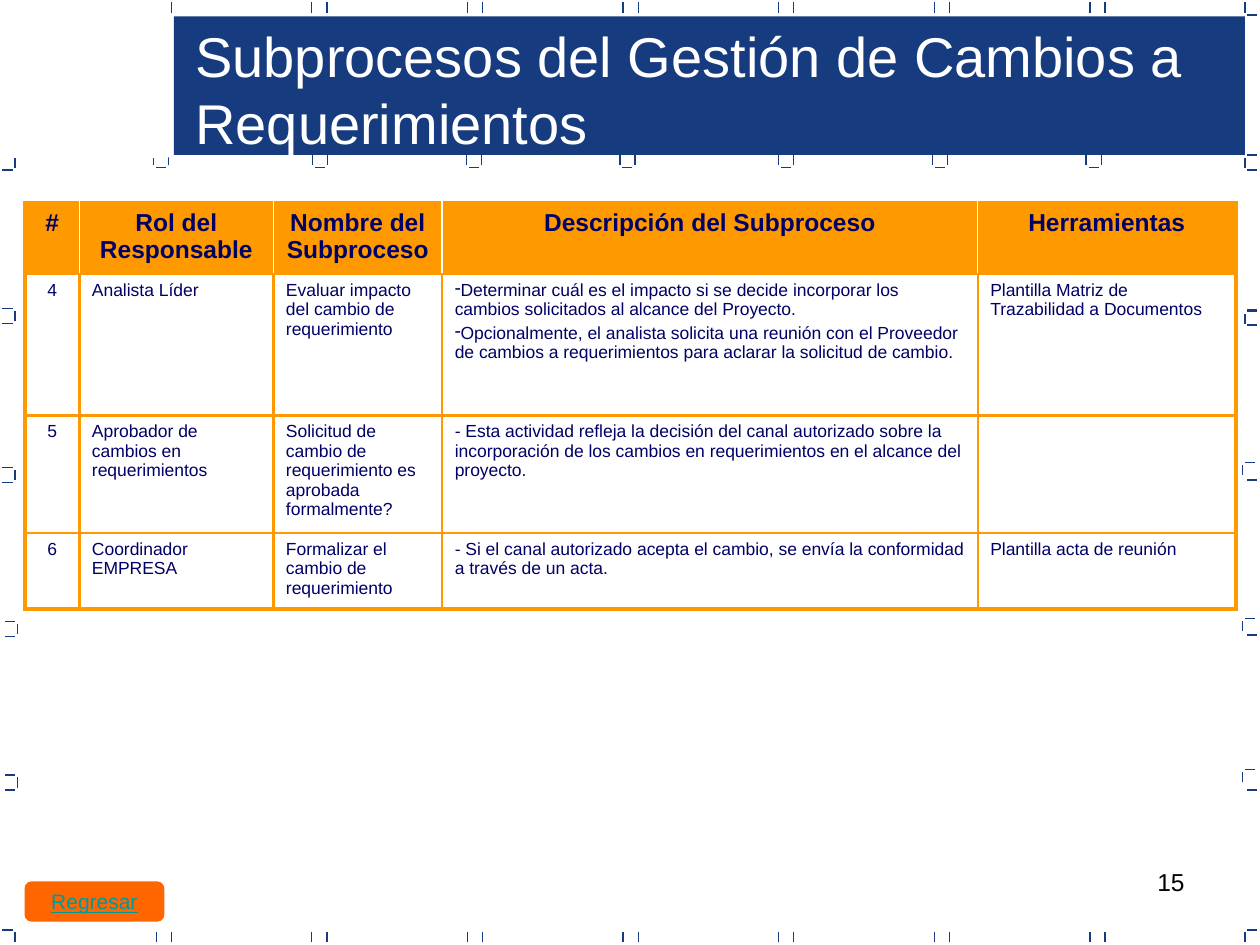
from lxml import etree
from pptx import Presentation
from pptx.dml.color import RGBColor
from pptx.enum.shapes import MSO_CONNECTOR, MSO_SHAPE
from pptx.enum.text import MSO_ANCHOR, MSO_AUTO_SIZE, PP_ALIGN
from pptx.oxml.ns import qn
from pptx.util import Inches, Pt

STRAIGHT = MSO_CONNECTOR.STRAIGHT
RECTANGLE = MSO_SHAPE.RECTANGLE
BUTTON = MSO_SHAPE.FLOWCHART_ALTERNATE_PROCESS
TOP, MIDDLE = MSO_ANCHOR.TOP, MSO_ANCHOR.MIDDLE
LEFT, CENTER, RIGHT = PP_ALIGN.LEFT, PP_ALIGN.CENTER, PP_ALIGN.RIGHT
NO_AUTOFIT = MSO_AUTO_SIZE.NONE

FONT = "Arial"
BLUE = RGBColor(0x16, 0x3B, 0x7F)
NAVY = RGBColor(0x00, 0x00, 0x66)
AMBER = RGBColor(0xFF, 0x99, 0x00)
ORANGE = RGBColor(0xFF, 0x66, 0x00)
TEAL = RGBColor(0x00, 0x99, 0x99)
WHITE = RGBColor(0xFF, 0xFF, 0xFF)
BLACK = RGBColor(0x00, 0x00, 0x00)

TICK = 0.08   # length of a frame tick
GAP = 0.02    # space between a tick and the corner it points to
PAIR = 0.12   # distance between the two ticks of a pair

COLUMN_WIDTHS = [0.43, 1.54, 1.34, 4.25, 2.05]
ROW_HEIGHTS = [0.47, 1.12, 0.59, 0.58]
HEADERS = ["#", "Rol del Responsable", "Nombre del Subproceso",
           "Descripción del Subproceso", "Herramientas"]
# A list marks a cell with dash bullets
ROWS = [
    ["4", "Analista Líder", "Evaluar impacto del cambio de requerimiento",
     ["Determinar cuál es el impacto si se decide incorporar los cambios "
      "solicitados al alcance del Proyecto.",
      "Opcionalmente, el analista solicita una reunión con el Proveedor de "
      "cambios a requerimientos para aclarar la solicitud de cambio."],
     "Plantilla Matriz de Trazabilidad a Documentos"],
    ["5", "Aprobador de cambios en requerimientos",
     "Solicitud de cambio de requerimiento es aprobada formalmente?",
     "- Esta actividad refleja la decisión del canal autorizado sobre la "
     "incorporación de los cambios en requerimientos en el alcance del proyecto.",
     ""],
    ["6", "Coordinador EMPRESA", "Formalizar el cambio de requerimiento",
     "- Si el canal autorizado acepta el cambio, se envía la conformidad a "
     "través de un acta.",
     "Plantilla acta de reunión"],
]


def add_run(paragraph, text, size, color, bold=False, underline=False):
    run = paragraph.add_run()
    run.text = text
    font = run.font
    font.name, font.size, font.color.rgb = FONT, Pt(size), color
    font.bold, font.underline = bold, underline


def add_block(slide, kind, box, fill, line=None, weight=0.75):
    shape = slide.shapes.add_shape(kind, *map(Inches, box))
    shape.shadow.inherit = False
    shape.fill.solid()
    shape.fill.fore_color.rgb = fill
    if line is None:
        shape.line.fill.background()
    else:
        shape.line.color.rgb = line
        shape.line.width = Pt(weight)
    return shape


def add_line(slide, x1, y1, x2, y2):
    line = slide.shapes.add_connector(STRAIGHT, *map(Inches, (x1, y1, x2, y2)))
    line.line.color.rgb = BLUE
    line.line.width = Pt(0.75)
    etree.SubElement(line.element.spPr, qn("a:effectLst"))


def add_upright(slide, x, y):
    add_line(slide, x, y + TICK, x, y)


def add_flat(slide, x, y):
    add_line(slide, x, y, x + TICK, y)


def add_frame(slide, box):
    left, top, width, height = box
    right, bottom = left + width, top + height
    top_y, bottom_y = top + GAP, bottom - GAP - TICK
    inner, outer = left + PAIR, right - PAIR

    # Top and bottom pairs
    for index in range(7):
        x = left + 1.36 + 1.235 * index
        add_upright(slide, x, top_y)
        if index:
            add_upright(slide, x - PAIR, top_y)
        add_upright(slide, x, bottom_y)
        add_upright(slide, x - PAIR, bottom_y)
    for x, y in [(outer, top_y), (outer, bottom_y), (inner, bottom_y)]:
        add_upright(slide, x, y)

    # Left brackets, open to the edge
    for x, y in [(0.12, 1.25), (0.12, 2.47), (0.12, 3.73), (0.14, 4.95), (0.14, 6.17)]:
        add_upright(slide, left + x, top + y)
        for flat_y in (y - GAP, y - GAP + PAIR):
            add_flat(slide, left + x - GAP - TICK, top + flat_y)
    add_flat(slide, left + GAP, bottom - PAIR)

    # Right corners and their closing ticks
    for x, y in [(9.88, 1.25), (9.88, 2.49), (9.86, 3.69), (9.86, 4.93), (9.86, 6.13)]:
        add_upright(slide, left + x, top + y)
        add_flat(slide, left + x + GAP, top + y - GAP)
    for y in (0.12, 1.35, 2.46, 2.58, 3.81, 5.04, 6.27, 7.38):
        add_flat(slide, outer + GAP, top + y)


def add_banner(slide, box):
    left, top, width, height = box
    add_block(slide, RECTANGLE, box, BLUE)

    # Brackets hanging below the banner
    base = top + height
    for x in (1.22, 2.48, 3.70, 4.92, 6.18, 7.40, 8.62):
        add_upright(slide, x, base)
        add_upright(slide, x + PAIR, base)
        add_flat(slide, x + GAP, base + TICK + GAP)

    # White corner beside the banner
    add_block(slide, RECTANGLE, (0, -0.01, 1.33, 1.25), WHITE, WHITE, 2)


def add_title(slide, box):
    title = slide.shapes.title
    title.left, title.top, title.width, title.height = map(Inches, box)
    frame = title.text_frame
    frame.word_wrap, frame.auto_size = True, NO_AUTOFIT
    frame.vertical_anchor = TOP
    paragraph = frame.paragraphs[0]
    paragraph.alignment = LEFT
    add_run(paragraph, "Subprocesos del Gestión de Cambios a Requerimientos", 32, WHITE)
    # Bring the title in front of the banner
    title.element.getparent().append(title.element)


def set_border(cell, side, color, weight):
    properties = cell._tc.get_or_add_tcPr()
    line = etree.SubElement(properties, qn(f"a:ln{side}"), w=str(Pt(weight)))
    fill = etree.SubElement(line, qn("a:solidFill"))
    etree.SubElement(fill, qn("a:srgbClr"), val=str(color))


def fill_cell(cell, content, size, alignment, bold):
    bulleted = isinstance(content, list)
    for index, text in enumerate(content if bulleted else [content]):
        frame = cell.text_frame
        paragraph = frame.add_paragraph() if index else frame.paragraphs[0]
        paragraph.alignment = alignment
        properties = paragraph._p.get_or_add_pPr()
        spacing = etree.SubElement(properties, qn("a:spcBef"))
        etree.SubElement(spacing, qn("a:spcPct"), val="20000")
        if bulleted:
            properties.set("marL", "0")
            properties.set("indent", "0")
            etree.SubElement(properties, qn("a:buChar"), char="-")
        if text:
            add_run(paragraph, text, size, NAVY, bold)


def add_process_table(slide, box):
    rows = [HEADERS] + ROWS
    last_row, last_column = len(rows) - 1, len(HEADERS) - 1
    holder = slide.shapes.add_table(len(rows), len(HEADERS), *map(Inches, box))
    table = holder.table
    table.first_row = table.horz_banding = False
    for column, width in zip(table.columns, COLUMN_WIDTHS):
        column.width = Inches(width)
    for row, height in zip(table.rows, ROW_HEIGHTS):
        row.height = Inches(height)
    holder.height = Inches(box[3])

    for r, contents in enumerate(rows):
        header = r == 0
        inner = (WHITE, 1) if header else (AMBER, 1.5)
        for c, content in enumerate(contents):
            cell = table.cell(r, c)
            # Heavier outline, lighter inner rules
            set_border(cell, "L", *((AMBER, 2.25) if c == 0 else inner))
            set_border(cell, "R", *((AMBER, 2.25) if c == last_column else inner))
            set_border(cell, "T", AMBER, 2.25 if header else 1.5)
            set_border(cell, "B", AMBER, 2.25 if r == last_row else 1.5)
            if header:
                cell.fill.solid()
                cell.fill.fore_color.rgb = AMBER
            else:
                cell.fill.background()
            alignment = CENTER if header or c == 0 else LEFT
            fill_cell(cell, content, 14 if header else 10, alignment, header)


def add_return_button(slide, box):
    frame = add_block(slide, BUTTON, box, ORANGE, ORANGE).text_frame
    frame.word_wrap, frame.vertical_anchor = False, MIDDLE
    frame.paragraphs[0].alignment = CENTER
    add_run(frame.paragraphs[0], "Regresar", 12, TEAL, underline=True)


def add_page_number(slide, box):
    frame = slide.shapes.add_textbox(*map(Inches, box)).text_frame
    frame.word_wrap = True
    frame.paragraphs[0].alignment = RIGHT
    add_run(frame.paragraphs[0], "15", 14, BLACK)


def main():
    presentation = Presentation()
    presentation.slide_width, presentation.slide_height = Inches(10), Inches(7.5)
    slide = presentation.slides.add_slide(presentation.slide_layouts[5])
    add_page_number(slide, (7.17, 6.83, 2.33, 0.52))
    add_frame(slide, (0, 0, 10, 7.5))
    add_banner(slide, (1.38, 0.13, 8.5, 1.1))
    add_process_table(slide, (0.2, 1.61, 9.61, 3.22))
    add_return_button(slide, (0.2, 7, 1.1, 0.31))
    add_title(slide, (1.45, 0.12, 8.4, 1.17))
    presentation.save("out.pptx")


if __name__ == "__main__":
    main()
